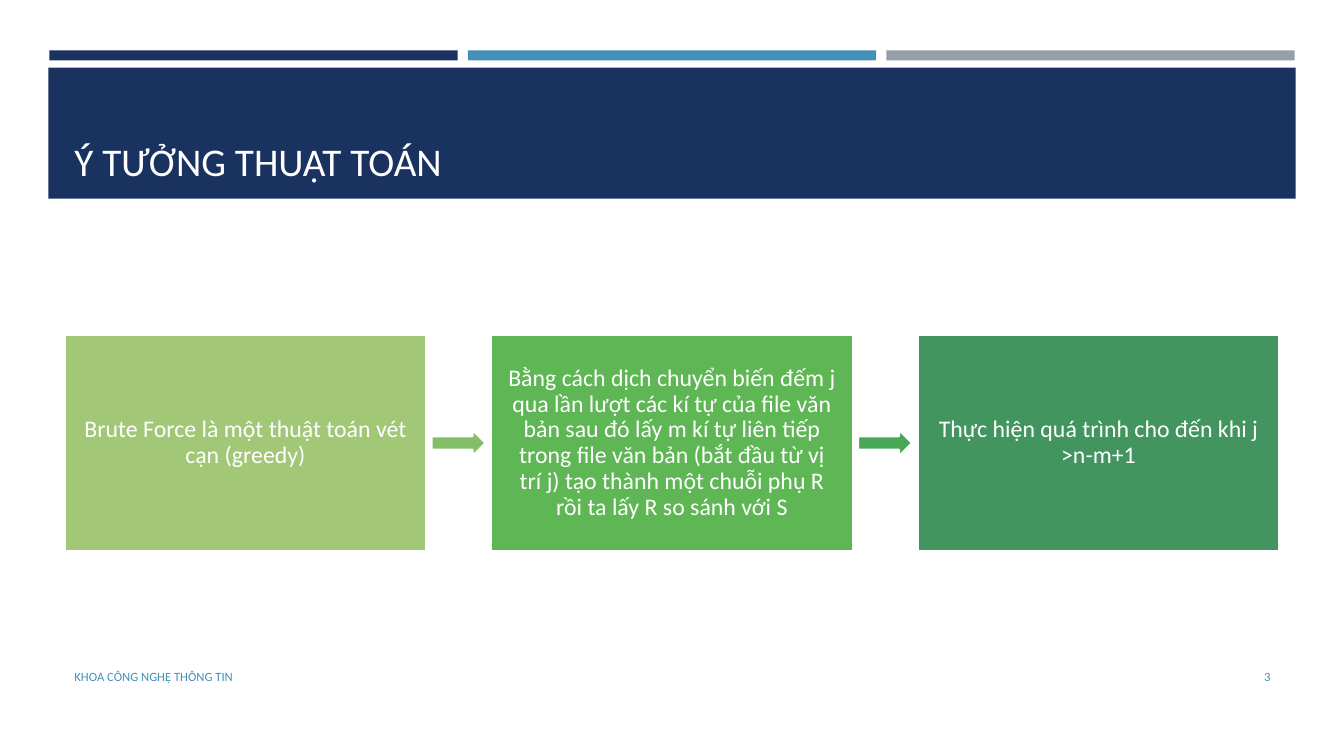
from dataclasses import dataclass

from pptx import Presentation
from pptx.dml.color import RGBColor
from pptx.enum.shapes import MSO_SHAPE
from pptx.enum.text import MSO_ANCHOR, PP_ALIGN
from pptx.util import Pt

RECT, ARROW = MSO_SHAPE.RECTANGLE, MSO_SHAPE.RIGHT_ARROW
MIDDLE, BOTTOM = MSO_ANCHOR.MIDDLE, MSO_ANCHOR.BOTTOM
LEFT, CENTER, RIGHT = PP_ALIGN.LEFT, PP_ALIGN.CENTER, PP_ALIGN.RIGHT
EMU_PER_PX = 9144  # 100 px to the inch


@dataclass(frozen=True)
class Theme:
    font: str = "Calibri"
    navy: str = "1A3260"
    blue: str = "4590B8"
    grey: str = "969FA7"
    white: str = "FFFFFF"
    title_color: str = "FFFEFF"
    step_fills: tuple = ("A2C777", "5EB654", "42955F")
    arrow_fills: tuple = ("82BF66", "49A855")
    title_size: int = 28
    step_size: int = 17
    footer_size: int = 9
    outline: float = 1.75


THEME = Theme()

STEPS = (
    "Brute Force là một thuật toán vét cạn (greedy)",
    "Bằng cách dịch chuyển biến đếm j qua lần lượt các kí tự của file văn bản "
    "sau đó lấy m kí tự liên tiếp trong file văn bản (bắt đầu từ vị trí j) "
    "tạo thành một chuỗi phụ R rồi ta lấy R so sánh với S",
    "Thực hiện quá trình cho đến khi j >n-m+1",
)


def px(length):
    return length * EMU_PER_PX


def add_block(slide, kind, box, fill, outlined=False):
    block = slide.shapes.add_shape(kind, *map(px, box))
    block.shadow.inherit = False
    block.fill.solid()
    block.fill.fore_color.rgb = RGBColor.from_string(fill)
    if outlined:
        block.line.color.rgb = RGBColor.from_string(THEME.white)
        block.line.width = Pt(THEME.outline)
    else:
        block.line.fill.background()
    return block


def write(holder, text, size, color, align=LEFT, anchor=MIDDLE):
    frame = holder.text_frame
    frame.word_wrap = True
    frame.vertical_anchor = anchor
    frame.text = text
    paragraph = frame.paragraphs[0]
    paragraph.alignment = align
    font = paragraph.runs[0].font
    font.name = THEME.font
    font.size = Pt(size)
    font.color.rgb = RGBColor.from_string(color)
    return frame


def add_label(slide, box, *args, **options):
    write(slide.shapes.add_textbox(*map(px, box)), *args, **options)


def draw_header(slide, box):
    left, top, width, height = box
    # Three colour strips across the top
    strip_width, strip_pitch = 405, 415
    for index, color in enumerate((THEME.navy, THEME.blue, THEME.grey)):
        strip_left = left + 1 + index * strip_pitch
        add_block(slide, RECT, (strip_left, top, strip_width, 10), color)
    # Title band
    add_block(slide, RECT, (left, top + 17, width, height - 17), THEME.navy)
    add_label(slide, (left + 16, top + 27, width - 31, height - 36),
              "Ý TƯỞNG THUẬT TOÁN", THEME.title_size, THEME.title_color,
              anchor=BOTTOM)


def draw_process(slide, box):
    left, top, width, height = box
    step_width, arrow_width, arrow_height, inset = 359, 54, 27, 17
    pitch = (width - step_width) // (len(STEPS) - 1)
    gap = pitch - step_width
    # Step boxes
    for index, (text, fill) in enumerate(zip(STEPS, THEME.step_fills)):
        step = add_block(slide, RECT,
                         (left + index * pitch, top, step_width, height),
                         fill, outlined=True)
        frame = write(step, text, THEME.step_size, THEME.white, CENTER)
        frame.margin_left = frame.margin_right = px(inset)
        frame.margin_top = frame.margin_bottom = px(inset)
        frame.paragraphs[0].line_spacing = 0.9
    # Arrows centred in the gaps
    for index, fill in enumerate(THEME.arrow_fills):
        arrow_left = left + index * pitch + step_width + (gap - arrow_width) // 2
        arrow_top = top + (height - arrow_height) // 2
        add_block(slide, ARROW,
                  (arrow_left, arrow_top, arrow_width, arrow_height),
                  fill, outlined=True)


def draw_footer(slide, box):
    left, top, width, height = box
    number_width = 115
    add_label(slide, (left, top, 756, height), "KHOA CÔNG NGHỆ THÔNG TIN",
              THEME.footer_size, THEME.blue)
    add_label(slide, (left + width - number_width, top, number_width, height),
              "3", THEME.footer_size, THEME.blue, align=RIGHT)


def main():
    deck = Presentation()
    deck.slide_width, deck.slide_height = px(1333), px(750)
    slide = deck.slides.add_slide(deck.slide_layouts[6])
    draw_header(slide, (48, 50, 1237, 147))
    draw_process(slide, (64, 332, 1205, 215))
    draw_footer(slide, (64, 651, 1206, 40))
    deck.save("out.pptx")


if __name__ == "__main__":
    main()
